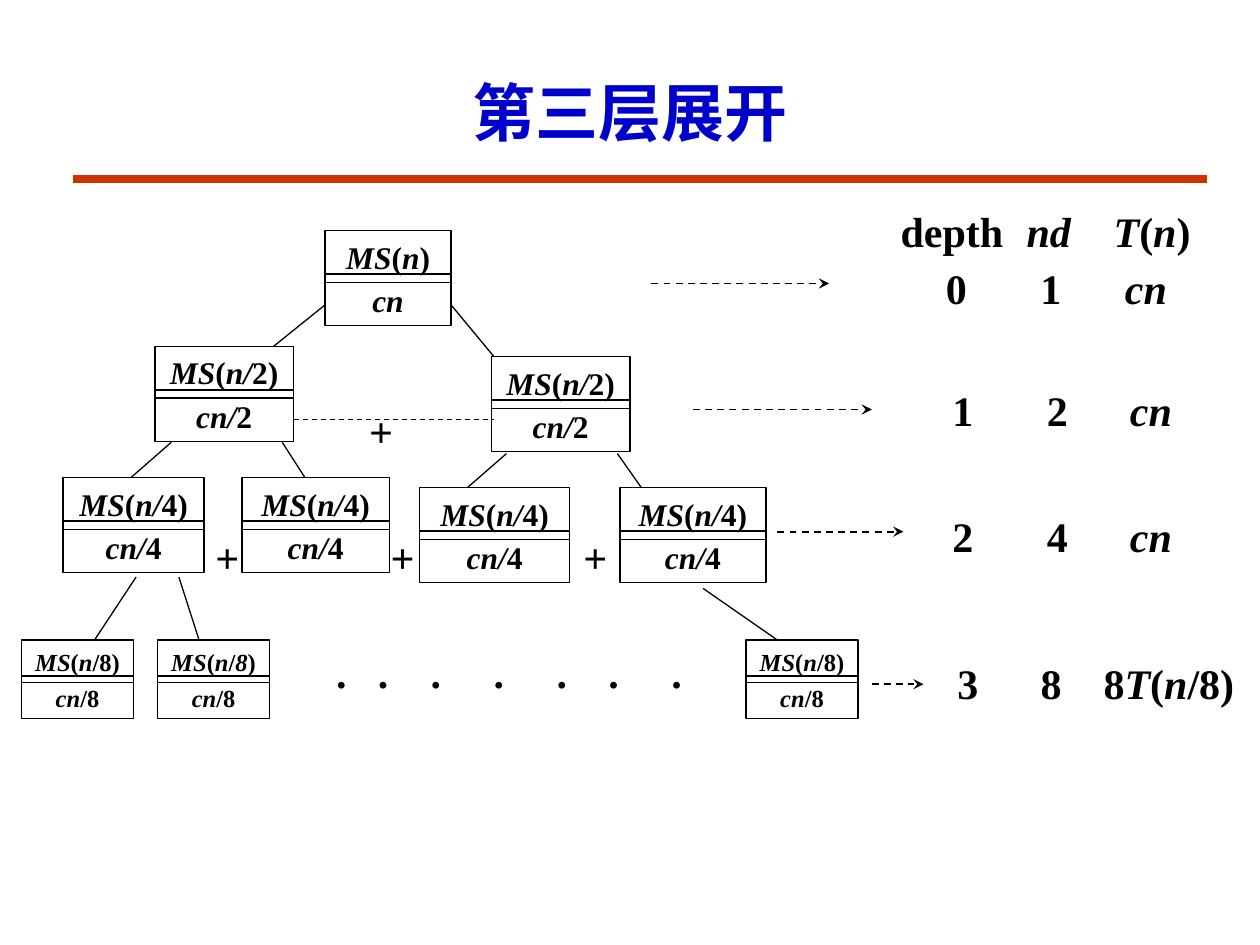
from lxml.etree import SubElement
from pptx import Presentation
from pptx.dml.color import RGBColor
from pptx.enum.dml import MSO_LINE
from pptx.enum.shapes import MSO_CONNECTOR, MSO_SHAPE
from pptx.enum.text import MSO_ANCHOR, PP_ALIGN
from pptx.oxml.ns import qn
from pptx.util import Inches, Pt

BLACK = RGBColor(0x00, 0x00, 0x00)
BLUE = RGBColor(0x00, 0x00, 0xCC)
RED = RGBColor(0xCC, 0x33, 0x00)
FONT = "Times New Roman"


def write(shape, text, size, color=BLACK, align=PP_ALIGN.LEFT, stops=()):
    frame = shape.text_frame
    frame.word_wrap = True
    frame.vertical_anchor = MSO_ANCHOR.MIDDLE
    para = frame.paragraphs[0]
    para.alignment = align
    if stops:
        tabs = SubElement(para._p.get_or_add_pPr(), qn("a:tabLst"))
        for stop in stops:
            SubElement(tabs, qn("a:tab"), pos=str(Inches(stop)), algn="l")
    for i, part in enumerate(text.split("*")):
        if part:
            run = para.add_run()
            run.text = part
            font = run.font
            font.name, font.size, font.bold = FONT, Pt(size), True
            font.italic = i % 2 == 1
            font.color.rgb = color


def add_text(slide, box, text, size=24, **style):
    shape = slide.shapes.add_textbox(*map(Inches, box))
    write(shape, text, size, **style)


def add_line(slide, start, end, color=BLACK, width=0.75, dash=False, arrow=False):
    line = slide.shapes.add_connector(
        MSO_CONNECTOR.STRAIGHT, *map(Inches, (*start, *end)))
    line.line.color.rgb = color
    line.line.width = Pt(width)
    if dash:
        line.line.dash_style = MSO_LINE.DASH
    if arrow:
        SubElement(line.line._get_or_add_ln(), qn("a:tailEnd"), type="stealth")
    SubElement(line._element.spPr, qn("a:effectLst"))


def add_node(slide, box, call, cost, size):
    left, top, width, height = box
    step = height * 0.84
    for i, text in enumerate((call, cost)):
        cell = slide.shapes.add_shape(
            MSO_SHAPE.RECTANGLE,
            *map(Inches, (left, top + i * step, width, height)))
        cell.shadow.inherit = False
        cell.fill.background()
        cell.line.color.rgb = BLACK
        cell.line.width = Pt(0.75)
        write(cell, text, size, align=PP_ALIGN.CENTER)


def add_tabbed(slide, top, spots, text):
    left = spots[0] - 0.1
    stops = [spot - spots[0] for spot in spots[1:]]
    add_text(slide, (left, top, 9.98 - left, 0.5), text, stops=stops)


def add_head(slide, box):
    add_text(slide, box, "第三层展开", 36, color=BLUE, align=PP_ALIGN.CENTER)
    add_line(slide, (0.58, 1.42), (9.58, 1.42), RED, 4.5)


def add_tree(slide):
    half = "*MS*(*n/*2)", "*cn/*2", 18
    fourth = "*MS*(*n/*4)", "*cn/*4", 18
    eighth = "*MS*(*n*/8)", "*cn*/8", 14
    slant = "*MS*(*n*/*8*)", "*cn*/8", 14
    nodes = [
        (2.58, 1.83, 1, 0.41, "*MS*(*n*)", "*cn*", 18),
        (1.23, 2.75, 1.1, 0.41, *half), (3.9, 2.83, 1.1, 0.41, *half),
        (0.5, 3.79, 1.12, 0.41, *fourth), (1.92, 3.79, 1.17, 0.41, *fourth),
        (3.33, 3.87, 1.19, 0.41, *fourth), (4.92, 3.87, 1.16, 0.41, *fourth),
        (0.17, 5.08, 0.89, 0.34, *eighth), (1.25, 5.08, 0.89, 0.34, *slant),
        (5.92, 5.08, 0.89, 0.34, *eighth),
    ]
    for *box, call, cost, size in nodes:
        add_node(slide, box, call, cost, size)
    edges = [
        ((2.58, 2.42), (2.17, 2.75)), ((3.58, 2.42), (3.92, 2.83)),
        ((1.36, 3.51), (1.04, 3.79)), ((2.24, 3.51), (2.42, 3.79)),
        ((4.02, 3.6), (3.71, 3.87)), ((4.9, 3.6), (5.09, 3.87)),
        ((1.08, 4.58), (0.75, 5.08)), ((1.42, 4.58), (1.58, 5.08)),
        ((5.58, 4.67), (6.17, 5.08)),
    ]
    for start, end in edges:
        add_line(slide, start, end)
    add_line(slide, (2.33, 3.33), (3.92, 3.33), dash=True)
    for left, top in ((2.83, 3.17), (1.61, 4.17), (3, 4.17), (4.53, 4.17)):
        add_text(slide, (left, top, 0.39, 0.5), "+", align=PP_ALIGN.CENTER)
    dots = 2.67, 3, 3.42, 3.92, 4.42, 4.83, 5.33
    add_tabbed(slide, 5.08, dots, "\t".join("." * len(dots)))


def add_costs(slide):
    rows = [
        (1.58, (7.15, 8.15, 8.84), "depth\t*nd\tT*(*n*)"),
        (2.03, (7.51, 8.26, 8.93), "0\t1\t*cn*"),
        (3, (7.56, 8.31, 8.97), "1\t2\t*cn*"),
        (4, (7.56, 8.31, 8.97), "2\t4\t*cn*"),
        (5.17, (7.6, 8.26, 8.76), "3\t8\t8*T*(*n*/8)"),
    ]
    for row in rows:
        add_tabbed(slide, *row)
    for left, right, top in ((5.17, 6.58, 2.25), (5.5, 6.92, 3.25),
                             (6.17, 7.17, 4.22), (6.92, 7.33, 5.43)):
        add_line(slide, (left, top), (right, top), width=1, dash=True, arrow=True)


def main():
    deck = Presentation()
    deck.slide_width, deck.slide_height = Inches(10), Inches(7.5)
    slide = deck.slides.add_slide(deck.slide_layouts[6])
    add_head(slide, (0.75, 0.42, 8.5, 0.92))
    add_tree(slide)
    add_costs(slide)
    deck.save("out.pptx")


if __name__ == "__main__":
    main()
